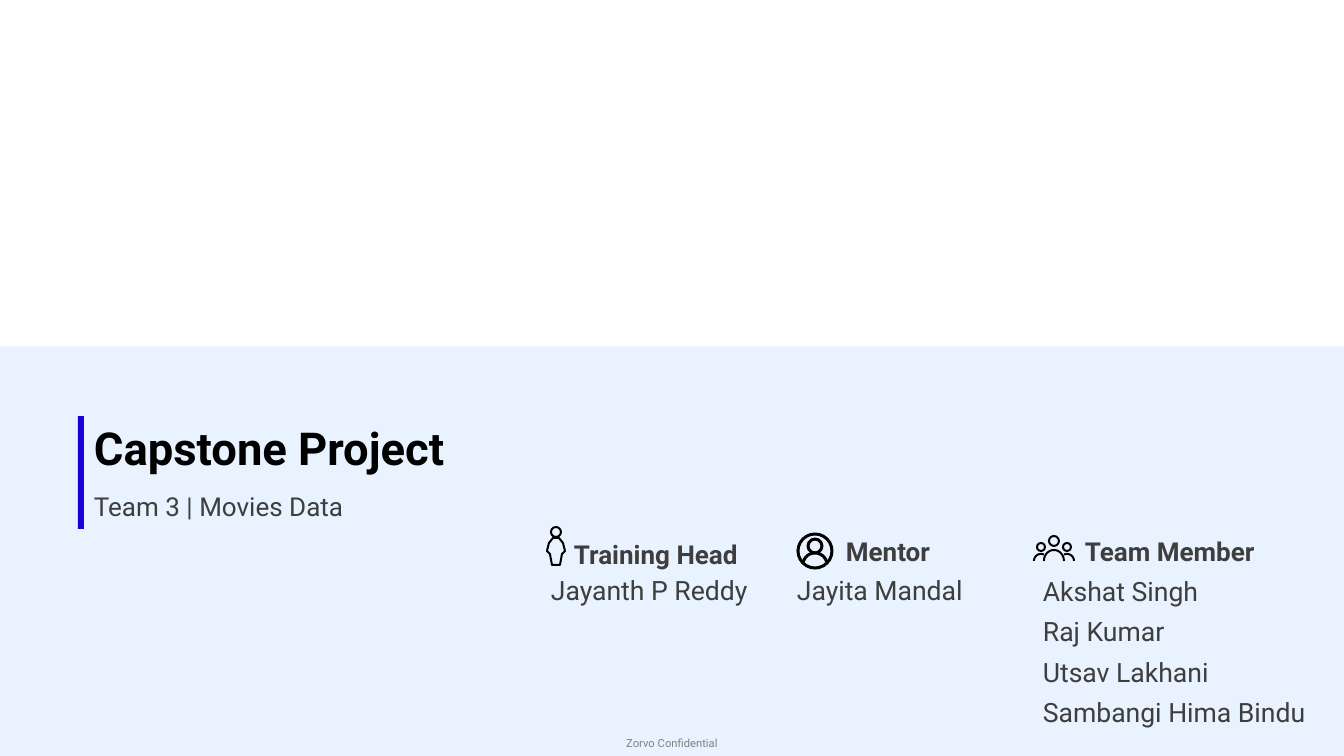
import math
from pptx import Presentation
from pptx import util as u
from pptx.dml.color import RGBColor
from pptx.enum import shapes as sh, text as tx

PX = 914400 / 100.8  # EMU in one px
INK, BLACK = "3E3E3E", "000000"
HEAD = {"size": 18.6, "bold": True}
NAME = {"size": 19}


def px(n):
    return u.Emu(round(n * PX))


def tint(code):
    return RGBColor.from_string(code)


def bar(page, box, color):
    part = page.shapes.add_shape(sh.MSO_SHAPE.RECTANGLE, *map(px, box))
    part.shadow.inherit = False
    part.fill.solid()
    part.fill.fore_color.rgb = tint(color)
    part.line.fill.background()


def write(page, box, lines, form, color=INK, gap=0, align="LEFT", anchor="TOP"):
    frame = page.shapes.add_textbox(*map(px, box)).text_frame
    frame.word_wrap = True
    frame.vertical_anchor = getattr(tx.MSO_ANCHOR, anchor)
    for i, line in enumerate(lines):
        para = frame.paragraphs[0] if i == 0 else frame.add_paragraph()
        para.alignment = getattr(tx.PP_ALIGN, align)
        para.space_before = u.Pt(gap if i else 0)
        run = para.add_run()
        run.text = line
        run.font.color.rgb = tint(color)
        for key, val in {"name": "Roboto", **form}.items():
            setattr(run.font, key, u.Pt(val) if key == "size" else val)


# Icon strokes
def ink(part, wide):
    part.shadow.inherit = False
    part.fill.background()
    part.line.color.rgb = tint(BLACK)
    part.line.width = px(wide)


def ring(page, x, y, rad, wide=2):
    box = (x - rad, y - rad, 2 * rad, 2 * rad)
    ink(page.shapes.add_shape(sh.MSO_SHAPE.OVAL, *map(px, box)), wide)


def trace(page, dots, close=False, wide=2):
    dots = [(px(x), px(y)) for x, y in dots]
    pen = page.shapes.build_freeform(*dots[0], scale=1.0)
    pen.add_line_segments(dots[1:], close=close)
    ink(pen.convert_to_shape(), wide)


def arc(page, x, y, wid, high, start, end, wide=2):
    turns = [math.radians(start + (end - start) * i / 24) for i in range(25)]
    trace(page, [(x + wid * math.cos(t), y - high * math.sin(t)) for t in turns], wide=wide)


# Icons, each placed from its left top corner
def person(page, x, y):
    ring(page, x + 10, y + 6, 5)
    half = [(3, 12), (7, 17), (9, 25), (6, 28), (4, 39)]
    right = [(x + 10 + dx, y + dy) for dx, dy in half]
    left = [(x + 10 - dx, y + dy) for dx, dy in reversed(half)]
    trace(page, right + left, close=True)


def badge(page, x, y):
    ring(page, x + 18, y + 18, 17, 3)
    ring(page, x + 18, y + 13, 7, 3)
    arc(page, x + 18, y + 32, 12, 12, 165, 15, 3)


def crowd(page, x, y):
    mid = x + 21
    ring(page, mid, y + 6, 5)
    arc(page, mid, y + 26, 10, 11, 180, 0)
    for side in (-1, 1):
        ring(page, mid + side * 13, y + 12, 4)
        arc(page, mid + side * 13, y + 26, 7, 7, 90 + side * 25, 90 - side * 90)


# Regions
def title(page, x, y):
    bar(page, (x, y, 6, 113), "1A00D9")
    write(page, (x + 6, y, 1159, 64), ["Capstone Project"],
          {"size": 32.4, "bold": True}, BLACK, anchor="BOTTOM")
    write(page, (x + 6, y + 70, 1159, 43), ["Team 3 | Movies Data"], {"size": 18.6})


def role(page, x, y, draw, icon, label, head, names):
    draw(page, x + icon[0], y + icon[1])
    write(page, (x + label[0], y + label[1], 214, 43), [head], HEAD)
    write(page, (x, y, 338, 43), names, NAME, gap=6)


ROLES = [
    (541, 569, person, (5, -43), (23, -35), "Training Head", ["Jayanth P Reddy"]),
    (787, 569, badge, (10, -36), (49, -38), "Mentor", ["Jayita Mandal"]),
    (1033, 570, crowd, (0, -35), (42, -39), "Team Member",
     ["Akshat Singh", "Raj Kumar", "Utsav Lakhani", "Sambangi Hima Bindu"]),
]


def cover(deck):
    page = deck.slides.add_slide(deck.slide_layouts[6])
    bar(page, (0, 346, 1344, 410), "E9F2FF")
    title(page, 78, 416)
    write(page, (600, 733, 144, 20), ["Zorvo Confidential"], {"size": 8}, "808080",
          align="CENTER", anchor="MIDDLE")
    for item in ROLES:
        role(page, *item)


def main():
    deck = Presentation()
    deck.slide_width, deck.slide_height = px(1344), px(756)
    cover(deck)
    deck.save("out.pptx")


if __name__ == "__main__":
    main()
